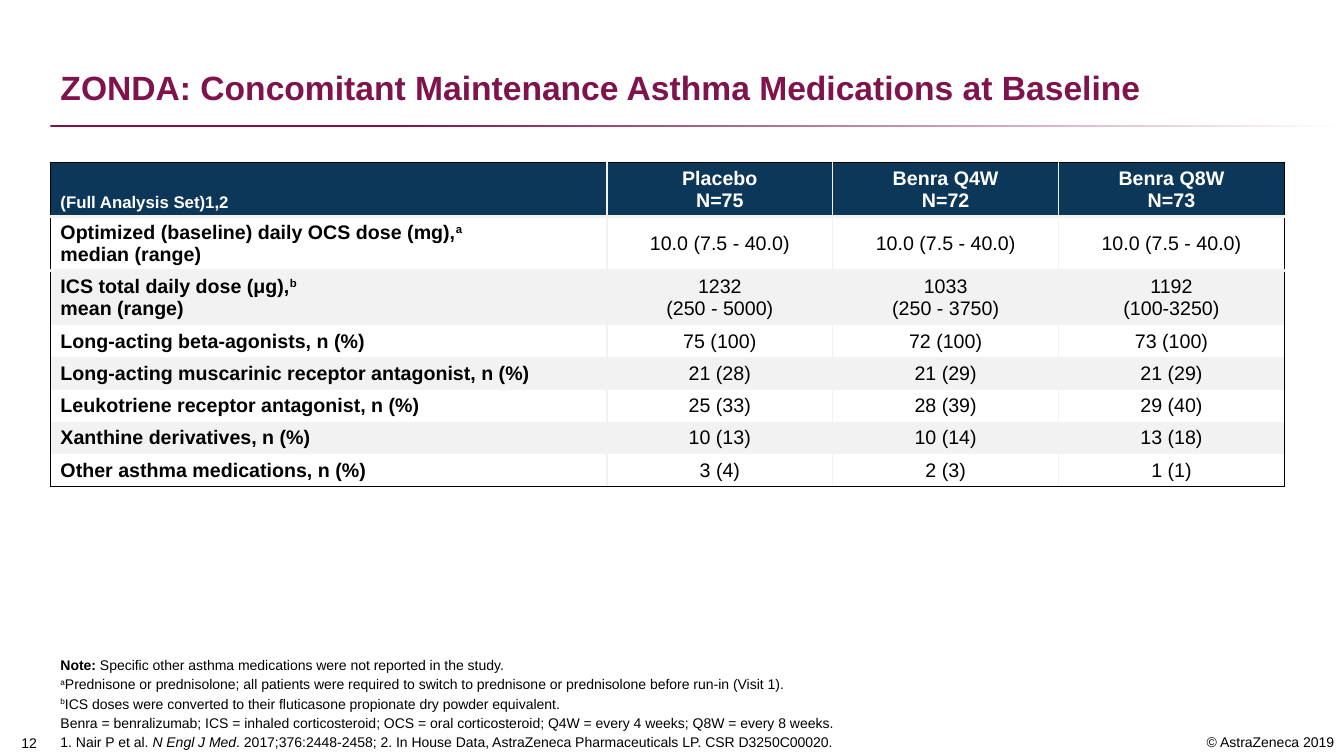
from dataclasses import dataclass
from typing import NamedTuple

from lxml import etree
from pptx import Presentation
from pptx import util as u
from pptx.dml.color import RGBColor
from pptx.enum import shapes, text
from pptx.oxml import ns

ALIGN = text.PP_ALIGN
ANCHOR = text.MSO_ANCHOR


@dataclass(frozen=True)
class Theme:
    font: str = "Arial"
    plum: str = "7F134C"
    navy: str = "0D3759"
    pale: str = "F2F2F2"
    white: str = "FFFFFF"
    black: str = "000000"
    title: float = 24
    cell: float = 14
    key: float = 12
    note: float = 10


class Run(NamedTuple):
    text: str
    bold: bool = False
    slant: bool = False
    sup: bool = False


class Style(NamedTuple):
    size: float
    color: str
    align: int = ALIGN.LEFT
    space: float = 1.0
    gap: float = 0


class Box(NamedTuple):
    left: float
    top: float
    width: float
    height: float


class Row(NamedTuple):
    height: float
    label: list[list[Run]]
    values: list[str]


class Edge(NamedTuple):
    side: str
    color: str
    width: float


T = Theme()
Lines = list[list[Run]]


def bold(*words: str) -> Lines:
    return [[Run(word, True)] for word in words]


def trio(a: str, b: str, c: str) -> list[str]:
    return [a, b, c]


ROWS = [
    Row(0.54, bold("(Full Analysis Set)1,2"),
        trio("Placebo\nN=75", "Benra Q4W\nN=72", "Benra Q8W\nN=73")),
    Row(0.53, [[Run("Optimized (baseline) daily OCS dose (mg),", True), Run("a", True, sup=True)],
               [Run("median (range)", True)]],
        ["10.0 (7.5 - 40.0)"] * 3),
    Row(0.54, [[Run("ICS total daily dose (μg),", True), Run("b", True, sup=True)],
               [Run("mean (range)", True)]],
        trio("1232\n(250 - 5000)", "1033\n(250 - 3750)", "1192\n(100-3250)")),
    Row(0.32, bold("Long-acting beta-agonists, n (%)"), trio("75 (100)", "72 (100)", "73 (100)")),
    Row(0.32, bold("Long-acting muscarinic receptor antagonist, n (%)"),
        trio("21 (28)", "21 (29)", "21 (29)")),
    Row(0.32, bold("Leukotriene receptor antagonist, n (%)"), trio("25 (33)", "28 (39)", "29 (40)")),
    Row(0.32, bold("Xanthine derivatives, n (%)"), trio("10 (13)", "10 (14)", "13 (18)")),
    Row(0.32, bold("Other asthma medications, n (%)"), trio("3 (4)", "2 (3)", "1 (1)")),
]
WIDTHS = [5.52] + [2.24] * 3

NOTES = [
    [Run("Note: ", True), Run("Specific other asthma medications were not reported in the study.")],
    [Run("a", sup=True),
     Run("Prednisone or prednisolone; all patients were required to switch to prednisone or "
         "prednisolone before run-in (Visit 1).")],
    [Run("b", sup=True),
     Run("ICS doses were converted to their fluticasone propionate dry powder equivalent.")],
    [Run("Benra = benralizumab; ICS = inhaled corticosteroid; OCS = oral corticosteroid; "
         "Q4W = every 4 weeks; Q8W = every 8 weeks.")],
    [Run("1. Nair P et al. "), Run("N Engl J Med", slant=True),
     Run(". 2017;376:2448-2458; 2. In House Data, AstraZeneca Pharmaceuticals LP. "
         "CSR D3250C00020.")],
]


def place(box: Box) -> list[u.Inches]:
    return [u.Inches(value) for value in box]


def write(frame, lines: Lines, style: Style) -> None:
    for index, line in enumerate(lines):
        para = frame.add_paragraph() if index else frame.paragraphs[0]
        props = para._p.get_or_add_pPr()
        props.set("marL", "0")
        props.set("indent", "0")
        etree.SubElement(props, ns.qn("a:buNone"))
        para.alignment = style.align
        para.line_spacing = style.space
        para.space_before = u.Pt(style.gap if index else 0)
        for item in line:
            run = para.add_run()
            run.text = item.text
            font = run.font
            font.name, font.size = T.font, u.Pt(style.size)
            font.bold, font.italic = item.bold, item.slant
            font.color.rgb = RGBColor.from_string(style.color)
            if item.sup:
                run._r.get_or_add_rPr().set("baseline", "30000")


def fill_box(shape, box: Box, lines: Lines, style: Style, anchor: int) -> None:
    shape.left, shape.top, shape.width, shape.height = place(box)
    frame = shape.text_frame
    frame.word_wrap = True
    frame.auto_size = text.MSO_AUTO_SIZE.NONE
    frame.vertical_anchor = anchor
    write(frame, lines, style)


def draw_edge(cell, edge: Edge) -> None:
    line = etree.SubElement(cell._tc.get_or_add_tcPr(), ns.qn(f"a:ln{edge.side}"))
    if edge.width:
        line.set("w", str(u.Pt(edge.width)))
        fill = etree.SubElement(line, ns.qn("a:solidFill"))
        etree.SubElement(fill, ns.qn("a:srgbClr")).set("val", edge.color)
    else:
        etree.SubElement(line, ns.qn("a:noFill"))


def level(line: int) -> tuple[str, float]:
    if line in (0, len(ROWS)):
        return T.black, 1
    return T.pale, 2.25 if line < 3 else 0


def draw_cell(cell, row: int, col: int) -> None:
    last = len(WIDTHS) - 1
    draw_edge(cell, Edge("L", T.pale if col else T.black, 1))
    draw_edge(cell, Edge("R", T.black if col == last else T.pale, 1))
    draw_edge(cell, Edge("T", *level(row)))
    draw_edge(cell, Edge("B", *level(row + 1)))
    shade = T.navy if row == 0 else T.white if row % 2 else T.pale
    cell.fill.solid()
    cell.fill.fore_color.rgb = RGBColor.from_string(shade)
    cell.vertical_anchor = ANCHOR.MIDDLE if row else ANCHOR.BOTTOM
    ink = T.black if row else T.white
    if col:
        lines = [[Run(part, row == 0)] for part in ROWS[row].values[col - 1].split("\n")]
        write(cell.text_frame, lines, Style(T.cell, ink, ALIGN.CENTER))
    else:
        write(cell.text_frame, ROWS[row].label, Style(T.cell if row else T.key, ink))


def draw_table(slide, box: Box) -> None:
    table = slide.shapes.add_table(len(ROWS), len(WIDTHS), *place(box)).table
    table.first_row = table.horz_banding = False
    for col, width in enumerate(WIDTHS):
        table.columns[col].width = u.Inches(width)
    for index, row in enumerate(ROWS):
        table.rows[index].height = u.Inches(row.height)
        for col in range(len(WIDTHS)):
            draw_cell(table.cell(index, col), index, col)


def draw_rule(slide, box: Box) -> None:
    rule = slide.shapes.add_shape(shapes.MSO_SHAPE.RECTANGLE, *place(box))
    rule.shadow.inherit = False
    rule.line.fill.background()
    rule.fill.gradient()
    rule.fill.gradient_angle = 0
    for stop, (spot, color) in zip(rule.fill.gradient_stops, [(0.26, T.plum), (1, T.white)]):
        stop.position = spot
        stop.color.rgb = RGBColor.from_string(color)


def main() -> None:
    deck = Presentation()
    deck.slide_width, deck.slide_height = u.Inches(13.33), u.Inches(7.5)
    slide = deck.slides.add_slide(deck.slide_layouts[1])
    title, body = slide.placeholders
    draw_rule(slide, Box(0.5, 1.24, 12.83, 0.02))
    fill_box(title, Box(0.5, 0.25, 12.33, 0.87),
             bold("ZONDA: Concomitant Maintenance Asthma Medications at Baseline"),
             Style(T.title, T.plum, space=0.9), ANCHOR.BOTTOM)
    fill_box(body, Box(0.5, 6.4, 10.78, 1.1), NOTES,
             Style(T.note, T.black, space=0.9, gap=3), ANCHOR.BOTTOM)
    for box, words, align, anchor in [
        (Box(11.11, 7.23, 2.22, 0.27), "© AstraZeneca 2019", ALIGN.RIGHT, ANCHOR.TOP),
        (Box(0, 7.21, 0.53, 0.29), "12", ALIGN.CENTER, ANCHOR.BOTTOM),
    ]:
        label = slide.shapes.add_textbox(*place(box))
        fill_box(label, box, [[Run(words)]], Style(T.note, T.black, align), anchor)
        if align == ALIGN.CENTER:
            label.text_frame.margin_right = u.Inches(0.05)
    draw_table(slide, Box(0.5, 1.61, sum(WIDTHS), sum(row.height for row in ROWS)))
    deck.save("out.pptx")


if __name__ == "__main__":
    main()
